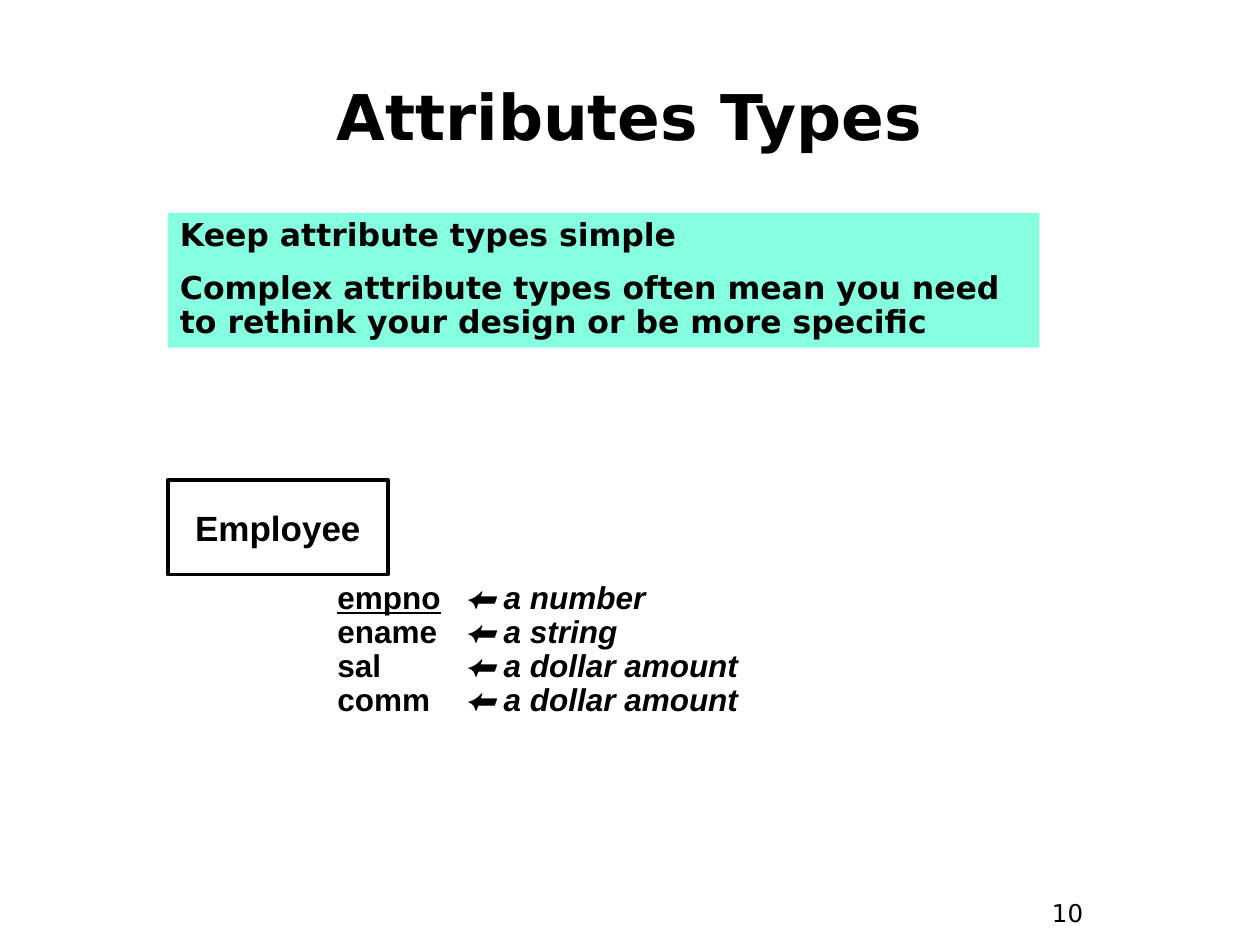
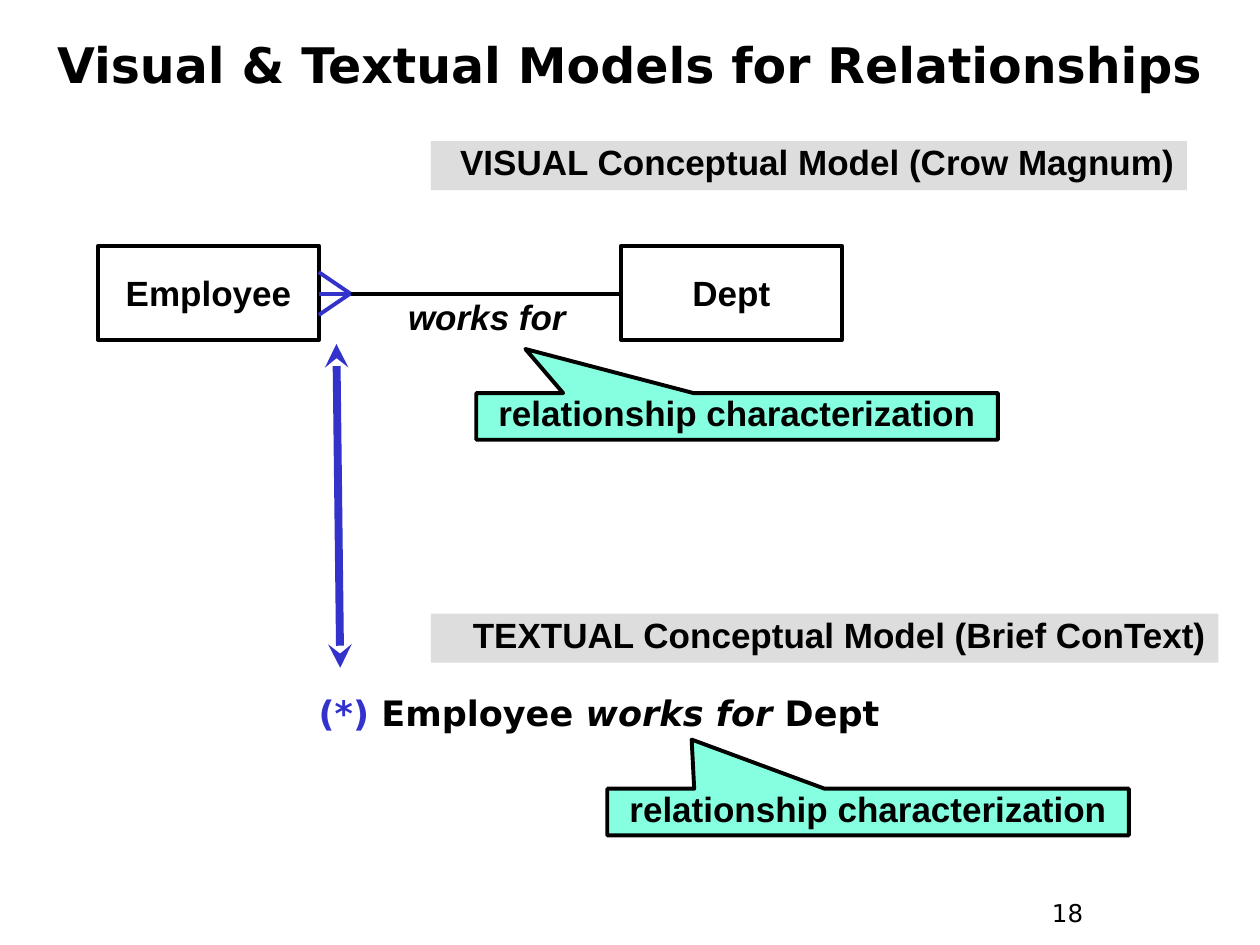
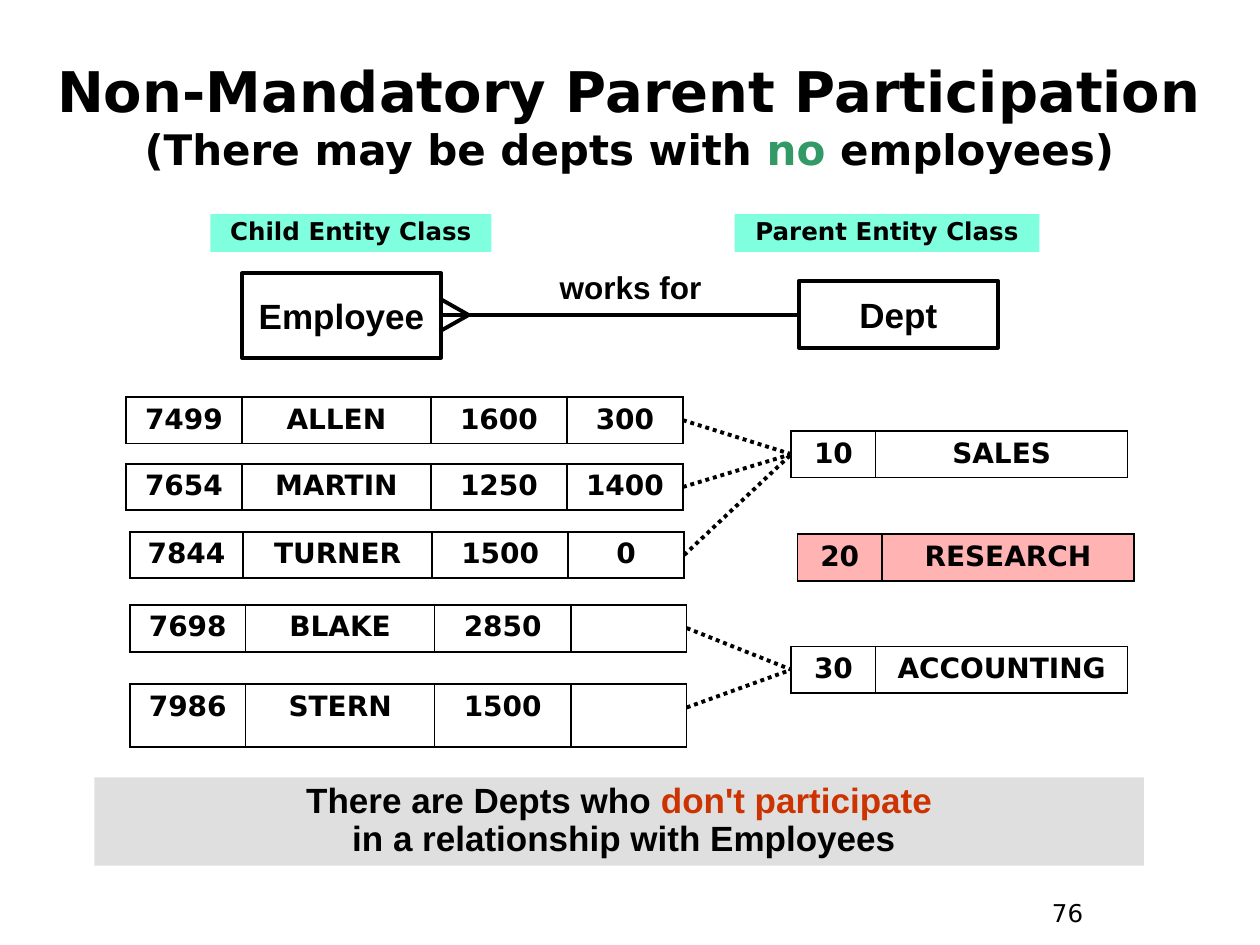
from copy import deepcopy
from dataclasses import dataclass

from lxml.etree import SubElement
from pptx import Presentation
from pptx.dml.color import RGBColor as Rgb
from pptx.enum.dml import MSO_LINE as Dash
from pptx.enum.shapes import MSO_CONNECTOR as Connector, MSO_SHAPE as Preset
from pptx.enum.text import MSO_ANCHOR as Anchor, MSO_AUTO_SIZE as AutoSize, PP_ALIGN as Align
from pptx.oxml.ns import qn
from pptx.util import Inches, Pt


@dataclass(frozen=True)
class Theme:
    heading: str = "DejaVu Sans"
    label: str = "Arial"
    ink: str = "000000"
    blue: str = "3333CC"
    green: str = "339966"
    red: str = "CC3300"
    mint: str = "85FFDF"
    tag_mint: str = "7FFFDD"
    band: str = "DDDDDD"
    note_band: str = "DFDFDF"
    pink: str = "FFB3B3"
    title: int = 36
    entity: int = 20
    body: int = 18
    cell: int = 16
    small: int = 14
    stroke: float = 2.25
    arrow: float = 4.5
    grid: float = 1.08


THEME = Theme()
ROW_HEIGHT = 0.37
EMPLOYEE_COLUMNS = (0.92, 1.5, 1.08, 0.92)
DEPT_COLUMNS = (0.67, 2)


# Text: a paragraph is a list of pieces, each a string or (string, changes)
def format_run(run, size, font, bold=True, color=THEME.ink, italic=False, underline=False):
    run.font.size = Pt(size)
    run.font.name = font
    run.font.bold = bold
    run.font.italic = italic
    run.font.underline = underline
    run.font.color.rgb = Rgb.from_string(color)


def write(frame, paragraphs, size, font, align=Align.CENTER, spacing=None, gap=0,
          tab=None, bold=True, anchor=Anchor.TOP, wrap=True):
    frame.word_wrap = wrap
    frame.auto_size = AutoSize.NONE
    frame.vertical_anchor = anchor
    for index, pieces in enumerate(paragraphs):
        paragraph = frame.add_paragraph() if index else frame.paragraphs[0]
        paragraph.alignment = align
        if spacing:
            paragraph.line_spacing = spacing
        if gap and index:
            paragraph.space_before = Pt(gap)
        if tab:
            tabs = SubElement(paragraph._p.get_or_add_pPr(), qn("a:tabLst"))
            SubElement(tabs, qn("a:tab"), pos=str(Inches(tab)), algn="l")
        for piece in pieces:
            if piece == "\n":
                paragraph.add_line_break()
                # The break takes the look of the run before it
                paragraph._p[-1].append(deepcopy(paragraph.runs[-1].font._element))
                continue
            text, changes = (piece, {}) if isinstance(piece, str) else piece
            run = paragraph.add_run()
            run.text = text
            format_run(run, **{"size": size, "font": font, "bold": bold, **changes})


def add_text(slide, place, paragraphs, size, font, **layout):
    box = slide.shapes.add_textbox(*map(Inches, place))
    write(box.text_frame, paragraphs, size, font, **layout)


# Shapes
def add_panel(slide, place, paragraphs, size, font, fill=None, outline=False,
              preset=Preset.RECTANGLE, **layout):
    panel = slide.shapes.add_shape(preset, *map(Inches, place))
    panel.shadow.inherit = False
    if fill:
        panel.fill.solid()
        panel.fill.fore_color.rgb = Rgb.from_string(fill)
    else:
        panel.fill.background()
    if outline:
        panel.line.color.rgb = Rgb.from_string(THEME.ink)
        panel.line.width = Pt(THEME.stroke)
    else:
        panel.line.fill.background()
    write(panel.text_frame, paragraphs, size, font, **layout)
    return panel


def add_entity(slide, place, name):
    add_panel(slide, place, [[name]], THEME.entity, THEME.label, outline=True,
              anchor=Anchor.MIDDLE, wrap=False)


def add_model_band(slide, place, caption):
    add_panel(slide, place, [[caption]], THEME.entity, THEME.label, THEME.band,
              align=Align.RIGHT, spacing=0.85)


def add_class_tag(slide, place, caption):
    add_panel(slide, place, [[caption]], THEME.small, THEME.heading, THEME.tag_mint,
              spacing=0.85)


def add_callout(slide, left, top, tip, caption):
    width, height = 4.14, 0.37
    callout = add_panel(slide, (left, top, width, height), [[caption]], THEME.entity,
                        THEME.label, THEME.mint, outline=True, spacing=0.8,
                        preset=Preset.RECTANGULAR_CALLOUT, anchor=Anchor.MIDDLE)
    callout.adjustments[0] = (tip[0] - left) / width - 0.5
    callout.adjustments[1] = (tip[1] - top) / height - 0.5


# Lines
def add_line(slide, start, end, color=THEME.ink, width=THEME.stroke, dash=None, arrows=False):
    link = slide.shapes.add_connector(Connector.STRAIGHT, *map(Inches, (*start, *end)))
    link.line.color.rgb = Rgb.from_string(color)
    link.line.width = Pt(width)
    if dash:
        link.line.dash_style = dash
    properties = link._element.spPr
    if arrows:
        for head in ("a:headEnd", "a:tailEnd"):
            SubElement(properties.find(qn("a:ln")), qn(head), type="stealth")
    SubElement(properties, qn("a:effectLst"))


def add_crows_foot(slide, edge, y, reach, spread, color):
    for offset in (-spread, spread):
        add_line(slide, (edge + reach, y), (edge, y + offset), color)


# Tables
def add_record(slide, left, top, columns, values, height=ROW_HEIGHT, fill=None):
    frame = slide.shapes.add_table(1, len(columns), Inches(left), Inches(top),
                                   Inches(sum(columns)), Inches(height))
    table = frame.table
    table.first_row = table.horz_banding = False
    for index, (width, value) in enumerate(zip(columns, values)):
        table.columns[index].width = Inches(width)
        cell = table.cell(0, index)
        for side in ("lnL", "lnR", "lnT", "lnB"):
            border = SubElement(cell._tc.get_or_add_tcPr(), qn(f"a:{side}"),
                                w=str(Pt(THEME.grid)))
            paint = SubElement(border, qn("a:solidFill"))
            SubElement(paint, qn("a:srgbClr"), val=THEME.ink)
        if fill:
            cell.fill.solid()
            cell.fill.fore_color.rgb = Rgb.from_string(fill)
        else:
            cell.fill.background()
        paragraph = cell.text_frame.paragraphs[0]
        paragraph.alignment = Align.CENTER
        if value:
            paragraph.text = value
            format_run(paragraph.runs[0], THEME.cell, THEME.heading)
        else:
            SubElement(paragraph._p, qn("a:endParaRPr"), sz=str(THEME.cell * 100))


# Shared slide frame: title and page number
def add_slide(deck, page, title, size=THEME.title, top=0.5, height=0.83, spacing=None):
    slide = deck.slides.add_slide(deck.slide_layouts[5])
    heading = slide.shapes.title
    heading.left, heading.top, heading.width, heading.height = map(
        Inches, (0.33, top, 9.33, height))
    write(heading.text_frame, [title], size, THEME.heading, spacing=spacing,
          anchor=Anchor.MIDDLE)
    add_text(slide, (8.25, 7.08, 0.75, 0.37), [[page]], THEME.small, THEME.heading,
             align=Align.LEFT, bold=False)
    return slide


def build_attribute_types(deck):
    slide = add_slide(deck, "10", ["Attributes Types"])
    add_entity(slide, (1.33, 3.81, 1.75, 0.75), "Employee")
    attributes = (("empno", "a number"), ("ename", "a string"),
                  ("sal", "a dollar amount"), ("comm", "a dollar amount"))
    lines = [[(name, {"underline": name == "empno"}), "\t", (f"⬅ {kind}", {"italic": True})]
             for name, kind in attributes]
    add_text(slide, (2.58, 4.57, 4, 1.18), lines, THEME.body, THEME.label,
             align=Align.LEFT, spacing=0.9, tab=1)
    advice = [["Keep attribute types simple"],
              ["Complex attribute types often mean you need to rethink your design "
               "or be more specific"]]
    add_panel(slide, (1.33, 1.69, 6.92, 1.07), advice, THEME.body, THEME.heading,
              THEME.mint, align=Align.LEFT, spacing=0.9, gap=11.2)


def build_relationship_models(deck):
    slide = add_slide(deck, "18", ["Visual & Textual Models for Relationships"],
                      size=28, top=0.17, height=0.75, spacing=0.85)
    # Textual model
    add_model_band(slide, (3.42, 4.87, 6.25, 0.39), "TEXTUAL Conceptual Model (Brief ConText)")
    sentence = [("(*)", {"color": THEME.blue}), " Employee ",
                ("works for", {"italic": True}), " Dept"]
    add_text(slide, (1.67, 5.44, 6.17, 0.44), [sentence], THEME.entity, THEME.heading)

    # Visual model
    add_model_band(slide, (3.42, 1.12, 6, 0.39), "VISUAL Conceptual Model (Crow Magnum)")
    add_line(slide, (2.67, 2.73), (2.7, 5.3), THEME.blue, THEME.arrow, arrows=True)
    for left, name in ((4.93, "Dept"), (0.78, "Employee")):
        add_entity(slide, (left, 1.95, 1.75, 0.75), name)
    add_text(slide, (3.03, 2.3, 1.67, 0.44), [[("works for", {"italic": True})]],
             THEME.entity, THEME.label)
    edge, axis, reach = 2.53, 2.33, 0.25
    add_line(slide, (4.92, axis), (edge, axis))
    add_crows_foot(slide, edge, axis, reach, 0.17, THEME.blue)
    add_line(slide, (edge, axis), (edge + reach, axis), THEME.blue)

    for left, top, tip in ((4.82, 6.26, (5.49, 5.87)), (3.78, 3.12, (4.17, 2.77))):
        add_callout(slide, left, top, tip, "relationship characterization")


def build_parent_participation(deck):
    subtitle = {"size": 24}
    slide = add_slide(deck, "76", [
        "Non-Mandatory Parent Participation", "\n",
        ("(There may be depts with ", subtitle),
        ("no", {**subtitle, "color": THEME.green}),
        (" employees)", subtitle)], size=32)

    # Entity diagram
    add_entity(slide, (6.34, 2.23, 1.58, 0.53), "Dept")
    add_entity(slide, (1.92, 2.17, 1.58, 0.67), "Employee")
    add_crows_foot(slide, 3.49, 2.5, 0.23, 0.13, THEME.ink)
    add_line(slide, (6.33, 2.5), (3.49, 2.5))
    add_text(slide, (4.17, 2.08, 1.67, 0.4), [["works for"]], THEME.body, THEME.label)
    add_class_tag(slide, (1.67, 1.7, 2.23, 0.3), "Child Entity Class")
    add_class_tag(slide, (5.83, 1.7, 2.42, 0.3), "Parent Entity Class")

    # Dept records: number -> name, left, top, fill
    depts = {"10": ("SALES", 6.28, 3.42, None),
             "20": ("RESEARCH", 6.33, 4.24, THEME.pink),
             "30": ("ACCOUNTING", 6.28, 5.13, None)}
    for number, (name, left, top, fill) in depts.items():
        add_record(slide, left, top, DEPT_COLUMNS, (number, name), fill=fill)

    # Employee records, each linked to its dept
    employees = (
        (("7499", "ALLEN", "1600", "300"), 1, 3.15, ROW_HEIGHT, "10"),
        (("7654", "MARTIN", "1250", "1400"), 1, 3.68, ROW_HEIGHT, "10"),
        (("7844", "TURNER", "1500", "0"), 1.03, 4.22, ROW_HEIGHT, "10"),
        (("7698", "BLAKE", "2850", ""), 1.03, 4.8, ROW_HEIGHT, "30"),
        (("7986", "STERN", "1500", ""), 1.03, 5.43, 0.5, "30"))
    for values, left, top, height, dept in employees:
        columns = (0.9, *EMPLOYEE_COLUMNS[1:]) if values[1] == "TURNER" else EMPLOYEE_COLUMNS
        add_record(slide, left, top, columns, values, height)
        _, dept_left, dept_top, _ = depts[dept]
        add_line(slide, (left + sum(columns), top + ROW_HEIGHT / 2),
                 (dept_left, dept_top + ROW_HEIGHT / 2), dash=Dash.ROUND_DOT)

    # Conclusion
    conclusion = ["There are Depts who ", ("don't participate", {"color": THEME.red}), "\n",
                  " in a relationship with Employees"]
    add_panel(slide, (0.75, 6.17, 8.33, 0.7), [conclusion], THEME.entity, THEME.label,
              THEME.note_band, spacing=0.9)


def main():
    deck = Presentation()
    deck.slide_width, deck.slide_height = Inches(10), Inches(7.5)
    build_attribute_types(deck)
    build_relationship_models(deck)
    build_parent_participation(deck)
    deck.save("out.pptx")


if __name__ == "__main__":
    main()
